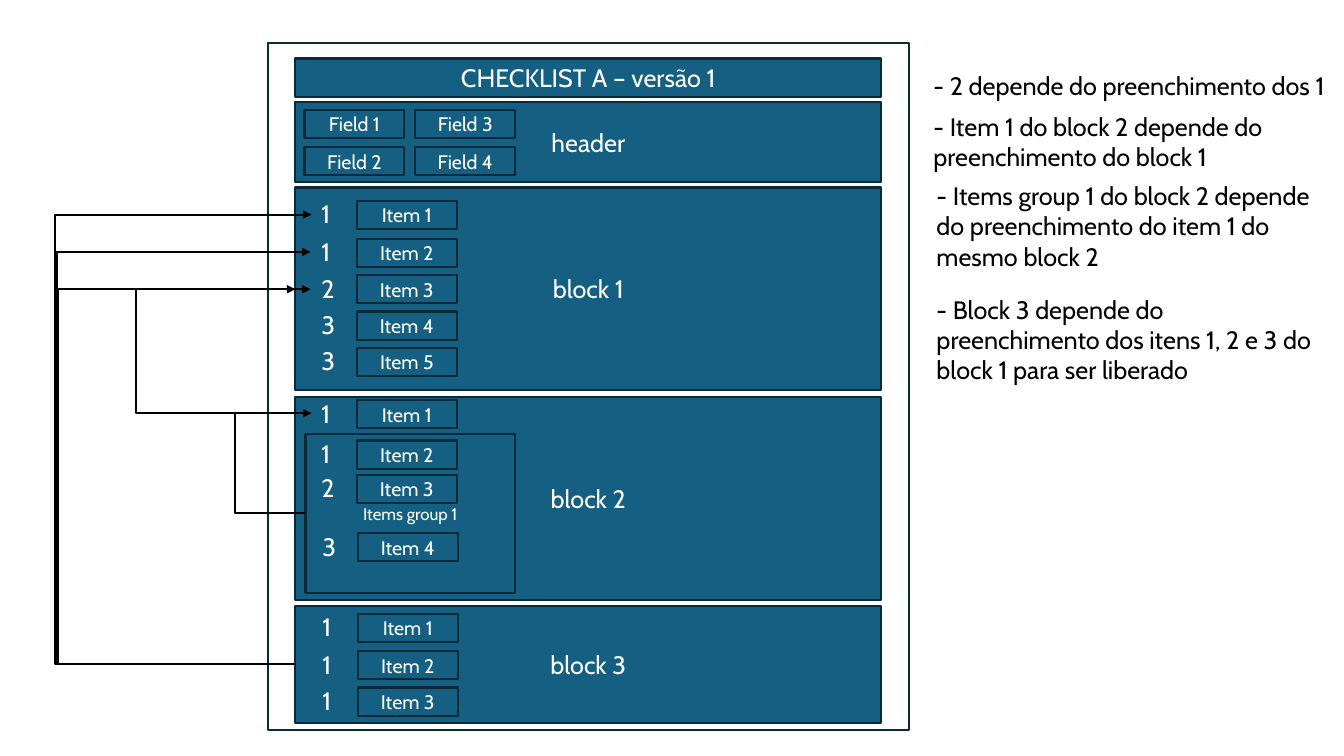
from dataclasses import dataclass

from lxml.etree import SubElement
from pptx import Presentation
from pptx.dml.color import RGBColor
from pptx.enum.shapes import MSO_CONNECTOR, MSO_SHAPE
from pptx.enum.text import MSO_ANCHOR, MSO_AUTO_SIZE, PP_ALIGN
from pptx.oxml.ns import qn
from pptx.shapes.autoshape import Shape
from pptx.slide import Slide
from pptx.text.text import TextFrame
from pptx.util import Emu, Pt

EMU_PER_PX = 9144
FONT = "Cabin"
WHITE, BLACK, TEAL, NAVY = "FFFFFF", "000000", "156082", "092A39"
PANEL_LEFT, PANEL_WIDTH = 293, 581
CELL_WIDTH, CELL_HEIGHT = 99, 28
NUMBER_OFFSET_X, NUMBER_OFFSET_Y = -45, -7


@dataclass(frozen=True)
class Item:
    label: str
    number: str
    top: int
    left: int = 354


@dataclass(frozen=True)
class Group:
    label: str
    left: int
    top: int
    width: int
    height: int


@dataclass(frozen=True)
class Panel:
    label: str
    top: int
    height: int
    items: tuple[Item, ...] = ()
    group: Group | None = None


@dataclass(frozen=True)
class Dependency:
    start: tuple[int, int]
    end: tuple[int, int]
    bend_x: int


@dataclass(frozen=True)
class Note:
    text: str
    left: int
    top: int
    width: int
    height: int
    wrap: bool = True


PANELS = (
    Panel("CHECKLIST A – versão 1", 58, 38),
    Panel("header", 101, 80),
    Panel("block 1", 186, 201, (
        Item("Item 1", "1", 199),
        Item("Item 2", "1", 237),
        Item("Item 3", "2", 273),
        Item("Item 4", "3", 309),
        Item("Item 5", "3", 345),
    )),
    Panel("block 2", 394, 201, (
        Item("Item 1", "1", 397),
        Item("Item 2", "1", 437),
        Item("Item 3", "2", 471),
        Item("Item 4", "3", 529, 355),
    ), Group("Items group 1", 303, 431, 208, 157)),
    Panel("block 3", 601, 116, (
        Item("Item 1", "1", 609, 355),
        Item("Item 2", "1", 646, 355),
        Item("Item 3", "1", 682, 355),
    )),
)
DEPENDENCIES = (
    Dependency((293, 659), (308, 250), 56),
    Dependency((293, 659), (308, 287), 57),
    Dependency((303, 509), (309, 410), 233),
    Dependency((293, 659), (309, 213), 54),
    Dependency((309, 410), (293, 287), 135),
)
NOTES = (
    Note("- 2 depende do preenchimento dos 1", 916, 65, 418, 40, False),
    Note("- Item 1 do block 2 depende do preenchimento do block 1", 916, 105, 404, 71),
    Note("- Items group 1 do block 2 depende do preenchimento do item 1 do mesmo block 2",
         919, 174, 404, 101),
    Note("- Block 3 depende do preenchimento dos itens 1, 2 e 3 do block 1 para ser liberado",
         919, 287, 404, 101),
)


def px(length: int) -> Emu:
    return Emu(length * EMU_PER_PX)


def color(value: str) -> RGBColor:
    return RGBColor.from_string(value)


def write(frame: TextFrame, text: str, size: int, text_color: str) -> None:
    frame.text = text
    font = frame.paragraphs[0].runs[0].font
    font.name = FONT
    font.size = Pt(size)
    font.color.rgb = color(text_color)


def add_frame(page: Slide, left: int, top: int, width: int, height: int) -> Shape:
    """Add an unfilled rectangle with the navy outline."""
    box = page.shapes.add_shape(
        MSO_SHAPE.RECTANGLE, px(left), px(top), px(width), px(height))
    box.shadow.inherit = False
    box.fill.background()
    box.line.color.rgb = color(NAVY)
    box.line.width = Pt(1.5)
    return box


def add_box(page: Slide, text: str, size: int,
            left: int, top: int, width: int, height: int) -> None:
    """Add a teal rectangle with centred white text."""
    box = add_frame(page, left, top, width, height)
    box.fill.solid()
    box.fill.fore_color.rgb = color(TEAL)
    box.text_frame.vertical_anchor = MSO_ANCHOR.MIDDLE
    write(box.text_frame, text, size, WHITE)
    box.text_frame.paragraphs[0].alignment = PP_ALIGN.CENTER


def add_cell(page: Slide, text: str, left: int, top: int) -> None:
    add_box(page, text, 14, left, top, CELL_WIDTH, CELL_HEIGHT)


def add_note(page: Slide, note: Note, text_color: str = BLACK) -> None:
    box = page.shapes.add_textbox(
        px(note.left), px(note.top), px(note.width), px(note.height))
    box.text_frame.word_wrap = note.wrap
    box.text_frame.auto_size = MSO_AUTO_SIZE.SHAPE_TO_FIT_TEXT
    write(box.text_frame, note.text, 18, text_color)


def add_panel(page: Slide, panel: Panel) -> None:
    add_box(page, panel.label, 18, PANEL_LEFT, panel.top, PANEL_WIDTH, panel.height)
    if panel.group:
        group = panel.group
        add_box(page, group.label, 12, group.left, group.top, group.width, group.height)
    for item in panel.items:
        add_cell(page, item.label, item.left, item.top)
        number = Note(item.number, item.left + NUMBER_OFFSET_X,
                      item.top + NUMBER_OFFSET_Y, 34, 40, False)
        add_note(page, number, WHITE)


def add_fields(page: Slide) -> None:
    for index in range(4):
        column, row = divmod(index, 2)
        add_cell(page, f"Field {index + 1}", 302 + column * 110, 109 + row * 37)


def add_dependency(page: Slide, dependency: Dependency) -> None:
    """Add an elbow arrow whose upright part runs at bend_x."""
    (start_x, start_y), (end_x, end_y) = dependency.start, dependency.end
    arrow = page.shapes.add_connector(
        MSO_CONNECTOR.ELBOW, px(start_x), px(start_y), px(end_x), px(end_y))
    arrow.line.color.rgb = color(BLACK)
    arrow.line.width = Pt(1.5)
    properties = arrow.element.spPr
    bend = round((dependency.bend_x - start_x) / (end_x - start_x) * 100000)
    adjustments = properties.find(qn("a:prstGeom")).get_or_add_avLst()
    SubElement(adjustments, qn("a:gd"), name="adj1", fmla=f"val {bend}")
    SubElement(properties.find(qn("a:ln")), qn("a:tailEnd"), type="triangle")
    SubElement(properties, qn("a:effectLst"))


def main() -> None:
    deck = Presentation()
    deck.slide_width, deck.slide_height = px(1333), px(750)
    page = deck.slides.add_slide(deck.slide_layouts[6])
    add_frame(page, 266, 43, 636, 681)
    for panel in PANELS:
        add_panel(page, panel)
    add_fields(page)
    for dependency in DEPENDENCIES:
        add_dependency(page, dependency)
    for note in NOTES:
        add_note(page, note)
    deck.save("out.pptx")


if __name__ == "__main__":
    main()
